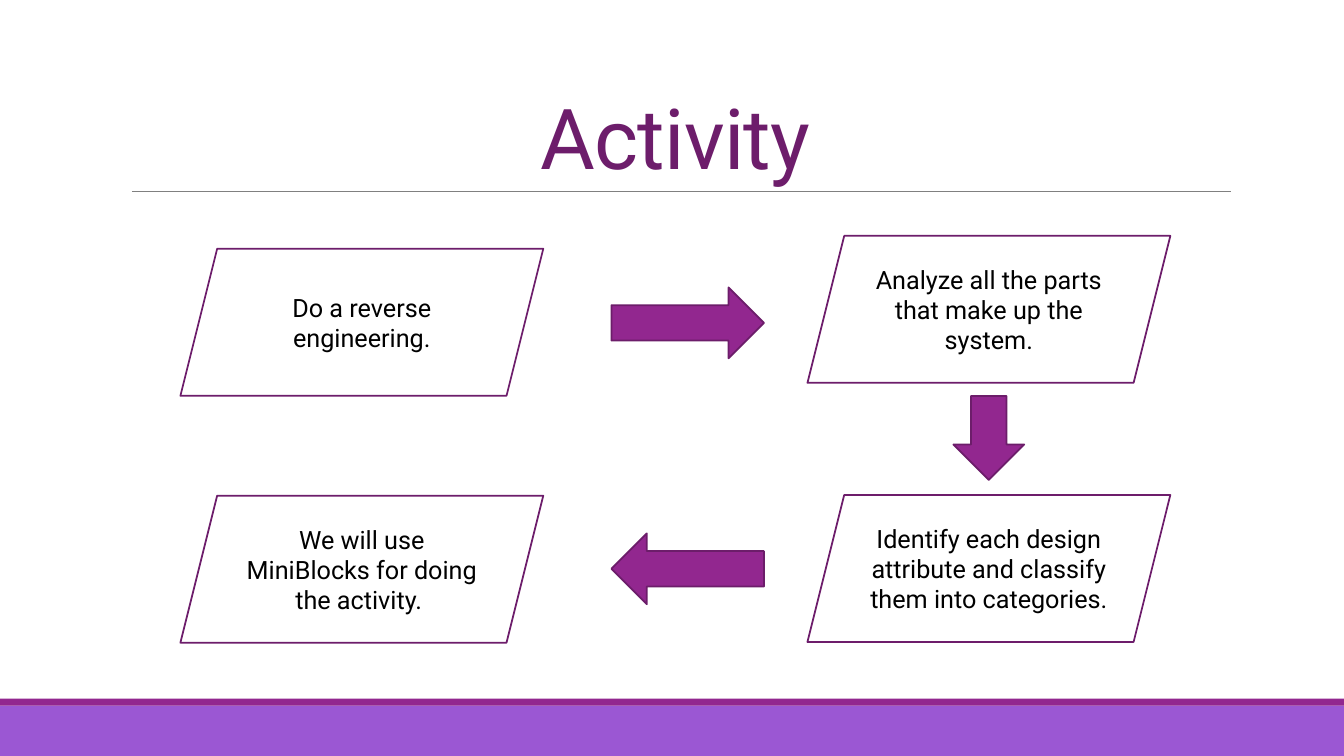
from pptx import Presentation
from pptx.dml.color import RGBColor
from pptx.enum.shapes import MSO_CONNECTOR, MSO_SHAPE as SHAPE
from pptx.enum.text import MSO_ANCHOR as ANCHOR, PP_ALIGN
from pptx.oxml.ns import qn
from pptx.util import Pt
from lxml import etree

COLORS = {
    "band": "9B57D3", "accent": "92278F", "rule": "808080",
    "plum": "6D1D6B", "edge": "6C1D6A", "black": "000000",
}


def rgb(name):
    return RGBColor.from_string(COLORS[name])


def write(sp, text, size=18, color="black", anchor=ANCHOR.MIDDLE, spacing=None, tracking=None):
    tf = sp.text_frame
    tf.word_wrap = True
    tf.vertical_anchor = anchor
    p = tf.paragraphs[0]
    p.alignment = PP_ALIGN.CENTER
    p.line_spacing = spacing
    r = p.add_run()
    r.text = text
    r.font.name = "Roboto"
    r.font.size = Pt(size)
    r.font.color.rgb = rgb(color)
    if tracking is not None:
        r.font._element.set("spc", str(int(tracking * 100)))


prs = Presentation()
prs.slide_width, prs.slide_height = Pt(960), Pt(540)
s = prs.slides.add_slide(prs.slide_layouts[6])

# Footer bands
for top, height, color in [(504, 36, "band"), (499, 5, "accent")]:
    sp = s.shapes.add_shape(SHAPE.RECTANGLE, 0, Pt(top), Pt(960), Pt(height))
    sp.shadow.inherit = False
    sp.fill.solid()
    sp.fill.fore_color.rgb = rgb(color)
    sp.line.fill.background()

# Title and the rule below it
rule = s.shapes.add_connector(MSO_CONNECTOR.STRAIGHT, Pt(94.3), Pt(136.6), Pt(879), Pt(136.6))
rule.line.color.rgb = rgb("rule")
rule.line.width = Pt(0.5)
etree.SubElement(rule._element.spPr, qn("a:effectLst"))

title = s.shapes.add_textbox(Pt(86.4), Pt(22.3), Pt(792), Pt(114.5))
write(title, "Activity", size=60, color="plum", anchor=ANCHOR.BOTTOM, spacing=0.85, tracking=-0.5)

# Activity steps
LEFT, RIGHT = 128.9, 576.8
steps = [
    (LEFT, 177.7, "Do a reverse engineering."),
    (LEFT, 354.1, "We will use MiniBlocks for doing the activity. "),
    (RIGHT, 168.5, "Analyze all the parts that make up the system."),
    (RIGHT, 353.6, "Identify each design attribute and classify them into categories."),
]
for left, top, text in steps:
    sp = s.shapes.add_shape(SHAPE.PARALLELOGRAM, Pt(left), Pt(top), Pt(259.2), Pt(105))
    sp.shadow.inherit = False
    sp.fill.background()
    sp.line.color.rgb = rgb("plum")
    sp.line.width = Pt(1.25)
    write(sp, text)

# Arrows from step to step
for left, top, length, turn in [(681, 282.8, 60, 0), (465.9, 176.1, 109, 270), (465.9, 351.8, 109, 90)]:
    sp = s.shapes.add_shape(SHAPE.DOWN_ARROW, Pt(left), Pt(top), Pt(50.6), Pt(length))
    sp.rotation = turn
    sp.shadow.inherit = False
    sp.fill.solid()
    sp.fill.fore_color.rgb = rgb("accent")
    sp.line.color.rgb = rgb("edge")
    sp.line.width = Pt(1.25)

prs.save("out.pptx")
